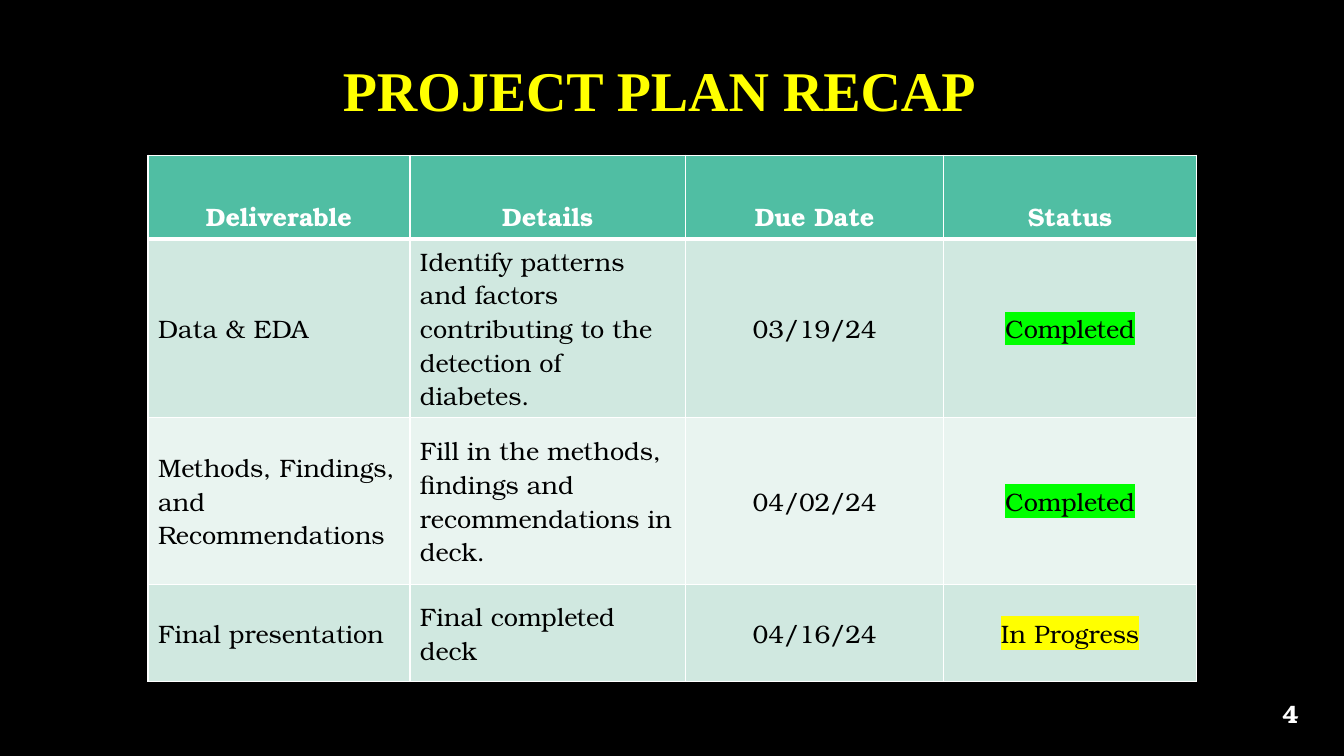
from lxml.etree import SubElement
from pptx import Presentation
from pptx.dml.color import RGBColor
from pptx.enum.text import MSO_ANCHOR, PP_ALIGN
from pptx.oxml.ns import qn
from pptx.util import Cm, Pt

COLORS = {
    "background": "000000", "title": "FFFF00", "white": "FFFFFF", "text": "000000",
    "header": "50BEA3", "odd": "D0E8E0", "even": "E9F4F0",
    "Completed": "00FF00", "In Progress": "FFFF00",
}
BODY_FONT = "TeX Gyre Bonum"
TITLE_FORMAT = {"name": "Times New Roman", "size": Pt(40), "bold": True}
STRONG_FORMAT = {"name": BODY_FONT, "size": Pt(18), "bold": True}
BODY_FORMAT = {"name": BODY_FONT, "size": Pt(18), "bold": False}

COLUMN_WIDTHS = [6.6, 6.95, 6.5, 6.37]
ROW_HEIGHTS = [2.11, 4.51, 4.2, 2.45]
PLAN = [
    ["Deliverable", "Details", "Due Date", "Status"],
    ["Data & EDA",
     "Identify patterns and factors contributing to the detection of diabetes.",
     "03/19/24", "Completed"],
    ["Methods, Findings, and Recommendations",
     "Fill in the methods, findings and recommendations in deck.",
     "04/02/24", "Completed"],
    ["Final presentation", "Final completed deck", "04/16/24", "In Progress"],
]


def color(name):
    return RGBColor.from_string(COLORS[name])


def write_text(frame, text, font_format, color_name, align=PP_ALIGN.LEFT, spacing=1.0):
    """Fill the first paragraph of a text frame and return its run."""
    paragraph = frame.paragraphs[0]
    paragraph.alignment = align
    paragraph.line_spacing = spacing
    run = paragraph.add_run()
    run.text = text
    for attribute, value in font_format.items():
        setattr(run.font, attribute, value)
    run.font.color.rgb = color(color_name)
    return run


def highlight(run, color_name):
    marker = SubElement(run.font._element, qn("a:highlight"))
    SubElement(marker, qn("a:srgbClr"), val=COLORS[color_name])
    run.font._element.find(qn("a:latin")).addprevious(marker)


def set_borders(cell, widths):
    """Draw white cell borders; widths maps each side to points."""
    properties = cell._tc.get_or_add_tcPr()
    for side, width in widths.items():
        line = SubElement(properties, qn(f"a:ln{side}"), w=str(Pt(width)))
        fill = SubElement(line, qn("a:solidFill"))
        SubElement(fill, qn("a:srgbClr"), val=COLORS["white"])


def add_text_box(slide, box, anchor, *text_arguments):
    frame = slide.shapes.add_textbox(*map(Cm, box)).text_frame
    frame.word_wrap = True
    frame.vertical_anchor = anchor
    write_text(frame, *text_arguments)


def fill_cell(cell, text, row, column):
    set_borders(cell, {"L": 1, "R": 1, "T": 3 if row == 1 else 1, "B": 3 if row == 0 else 1})
    cell.fill.solid()
    if row == 0:
        cell.fill.fore_color.rgb = color("header")
        write_text(cell.text_frame, text, STRONG_FORMAT, "white", PP_ALIGN.CENTER, 2.0)
        return
    cell.fill.fore_color.rgb = color("odd" if row % 2 else "even")
    cell.vertical_anchor = MSO_ANCHOR.MIDDLE
    align = PP_ALIGN.CENTER if column >= 2 else PP_ALIGN.LEFT
    run = write_text(cell.text_frame, text, BODY_FORMAT, "text", align)
    if PLAN[0][column] == "Status":
        highlight(run, text)


def add_plan_table(slide, left, top):
    size = (sum(COLUMN_WIDTHS), sum(ROW_HEIGHTS))
    table = slide.shapes.add_table(
        len(PLAN), len(COLUMN_WIDTHS), *map(Cm, (left, top, *size))).table
    for column, width in zip(table.columns, COLUMN_WIDTHS):
        column.width = Cm(width)
    for row, height in zip(table.rows, ROW_HEIGHTS):
        row.height = Cm(height)
    for row, texts in enumerate(PLAN):
        for column, text in enumerate(texts):
            fill_cell(table.cell(row, column), text, row, column)


def main():
    presentation = Presentation()
    presentation.slide_width, presentation.slide_height = Cm(33.87), Cm(19.05)
    slide = presentation.slides.add_slide(presentation.slide_layouts[6])
    slide.background.fill.solid()
    slide.background.fill.fore_color.rgb = color("background")
    add_text_box(slide, (2.24, 0.51, 28.75, 3.68), MSO_ANCHOR.MIDDLE,
                 "PROJECT PLAN RECAP", TITLE_FORMAT, "title", PP_ALIGN.CENTER, 0.9)
    add_plan_table(slide, 3.73, 3.91)
    add_text_box(slide, (32.06, 17.48, 1.47, 1.02), MSO_ANCHOR.TOP,
                 "4", STRONG_FORMAT, "white")
    presentation.save("out.pptx")


if __name__ == "__main__":
    main()
